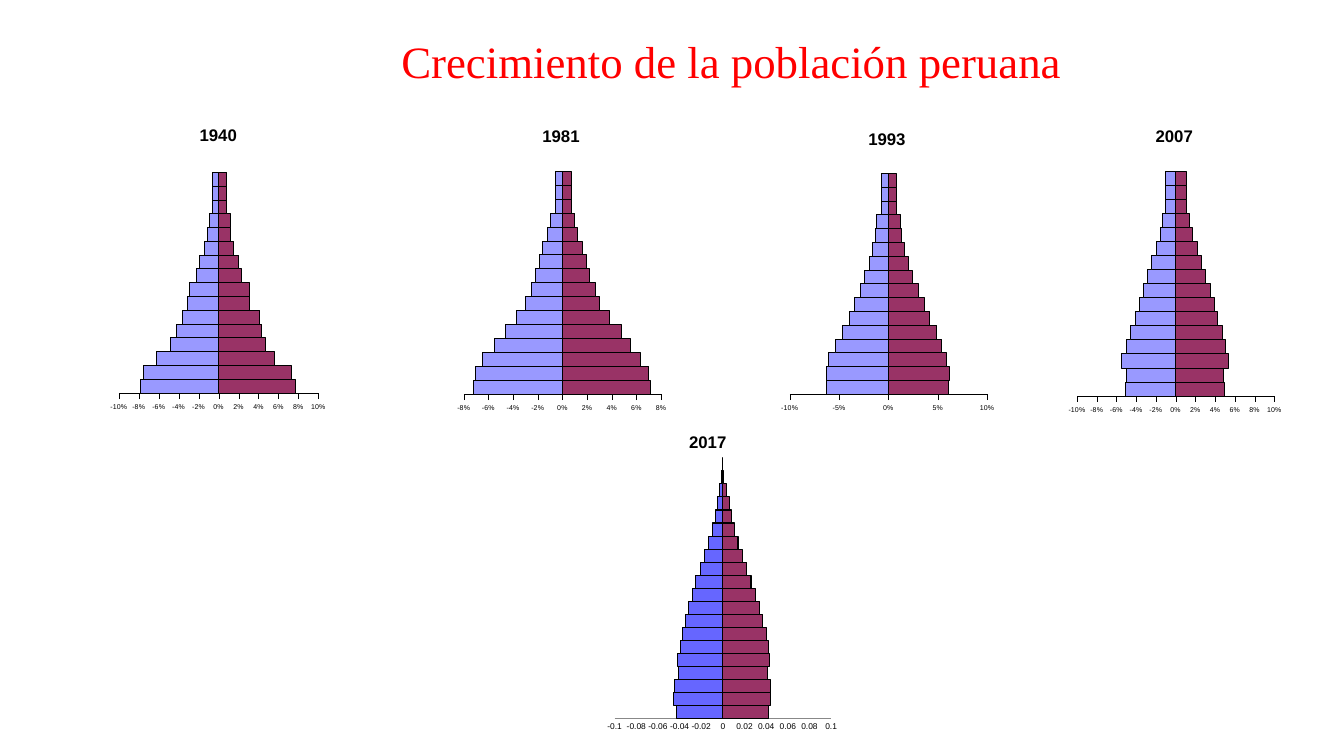
from lxml import etree
from pptx import Presentation
from pptx import util as u
from pptx.chart.data import CategoryChartData
from pptx.dml.color import RGBColor
from pptx.enum import chart as ch, text
from pptx.oxml.ns import qn

WIDTH, HEIGHT = 13.33, 7.5
COLUMNS, ROWS = 40, 24
COLORS = {"heading": "FF0000", "ink": "000000", "men": "9999FF",
          "women": "993366", "men_2017": "6666FF", "axis_2017": "888888"}

# Shares of each age group in thousandths, youngest first
MEN = {
    "1940": [78, 75, 62, 48, 42, 36, 31, 29, 22, 19, 14, 11, 9, 6, 6, 6],
    "1981": [72, 71, 65, 55, 46, 37, 30, 25, 22, 19, 16, 12, 10, 6, 6, 6],
    "2007": [51, 50, 55, 50, 46, 41, 37, 33, 29, 25, 20, 16, 13, 10, 10, 10],
    "1993": [63, 63, 61, 54, 47, 40, 35, 28, 24, 19, 16, 13, 12, 7, 7, 7],
    "2017": [43, 46, 45, 41, 42, 39, 37, 35, 32, 28, 25, 21, 17, 13, 10, 7, 5, 3, 1, 0],
}
WOMEN = {
    "1940": [77, 73, 56, 47, 43, 41, 31, 31, 23, 20, 15, 12, 12, 8, 8, 8],
    "1981": [71, 70, 63, 55, 48, 38, 30, 27, 22, 19, 16, 12, 10, 7, 7, 7],
    "2007": [49, 48, 53, 50, 47, 42, 39, 35, 30, 26, 22, 17, 14, 11, 11, 11],
    "1993": [61, 62, 59, 54, 49, 42, 36, 30, 24, 20, 16, 13, 12, 8, 8, 8],
    "2017": [42, 44, 44, 41, 43, 42, 40, 37, 34, 30, 26, 22, 18, 14, 11, 8, 6, 3, 1, 0],
}

# Census pyramids: cell is left, top, width, height in grid columns and rows
CENSUS = {"limit": 0.1, "step": 0.02, "format": "0%", "ticks": ch.XL_TICK_MARK.OUTSIDE,
          "label_size": 5, "men": "men", "axis": "ink", "axis_width": 0.15,
          "bar_width": 0.6, "plot": (0.06, 0.19, 0.89, 0.74), "year_at": (0.4, 0.03)}
PYRAMIDS = {
    "1940": CENSUS | {"cell": (3.21, 3.58, 6.6, 9.47), "plot": (0.05, 0.2, 0.9, 0.74)},
    "1981": CENSUS | {"cell": (13.41, 3.62, 6.6, 9.57), "limit": 0.08},
    "2007": CENSUS | {"cell": (31.66, 3.62, 6.6, 9.63)},
    "1993": CENSUS | {"cell": (23.11, 3.71, 6.6, 9.47), "step": 0.05},
    "2017": CENSUS | {"cell": (17.94, 13.09, 7.08, 10.34), "format": "General",
                      "ticks": ch.XL_TICK_MARK.NONE, "label_size": 6,
                      "men": "men_2017", "axis": "axis_2017", "axis_width": 0.75,
                      "bar_width": 0.75, "plot": (0.05, 0.14, 0.91, 0.8),
                      "year_at": (0.35, 0.05)},
}


def grid(left, top, width, height):
    """Turn grid columns and rows into slide lengths."""
    column, row = WIDTH / COLUMNS, HEIGHT / ROWS
    return [u.Inches(n) for n in (left * column, top * row, width * column, height * row)]


def apply(target, **values):
    for name, value in values.items():
        setattr(target, name, value)


def style_font(font, size, color, name="Arial", bold=False):
    apply(font, size=u.Pt(size), name=name, bold=bold)
    font.color.rgb = RGBColor.from_string(COLORS[color])


def style_line(line, color, width):
    line.color.rgb = RGBColor.from_string(COLORS[color])
    line.width = u.Pt(width)


def place_part(part, index, shares, inner=False):
    """Give a chart part a fixed place as shares of its chart."""
    for old in part.findall(qn("c:layout")):
        part.remove(old)
    layout = etree.Element(qn("c:layout"))
    manual = etree.SubElement(layout, qn("c:manualLayout"))
    settings = [("layoutTarget", "inner")] if inner else []
    settings += [("xMode", "edge"), ("yMode", "edge"), *zip("xywh", shares)]
    for tag, value in settings:
        etree.SubElement(manual, qn(f"c:{tag}")).set("val", str(value))
    part.insert(index, layout)


def add_heading(slide, words):
    heading = slide.shapes.title
    left, top, width, height = grid(4.77, 0.42, 34, 3.2)
    apply(heading, left=left, top=top, width=width, height=height)
    frame = heading.text_frame
    apply(frame, text=words, word_wrap=True, vertical_anchor=text.MSO_ANCHOR.MIDDLE)
    line = frame.paragraphs[0]
    apply(line, alignment=text.PP_ALIGN.CENTER, line_spacing=0.9)
    style_font(line.runs[0].font, 32, "heading", "Times New Roman")


def add_pyramid(slide, year, look):
    # Men grow to the left, women to the right
    sides = [("men", [-n / 1000 for n in MEN[year]], look["men"]),
             ("women", [n / 1000 for n in WOMEN[year]], "women")]
    if year == "2017":
        sides.reverse()
    ages = CategoryChartData()
    ages.categories = [str(n + 1) for n in range(len(MEN[year]))]
    for order, (_, shares, _) in enumerate(sides, 1):
        ages.add_series(f"Series {order}", shares)
    pyramid = slide.shapes.add_chart(
        ch.XL_CHART_TYPE.BAR_CLUSTERED, *grid(*look["cell"]), ages).chart
    pyramid.has_legend = False
    style_font(pyramid.font, 5, "ink")

    # Year above the bars
    pyramid.has_title = True
    year_text = pyramid.chart_title.text_frame
    year_text.text = year
    style_font(year_text.paragraphs[0].runs[0].font, 12, "ink", bold=True)

    # Touching bars
    bars = pyramid.plots[0]
    apply(bars, gap_width=0, overlap=100, vary_by_categories=False)
    for side, (_, _, color) in zip(bars.series, sides):
        side.invert_if_negative = False
        side.format.fill.solid()
        side.format.fill.fore_color.rgb = RGBColor.from_string(COLORS[color])
        style_line(side.format.line, "ink", look["bar_width"])

    # Share axis at the foot
    pyramid.category_axis.visible = False
    axis = pyramid.value_axis
    apply(axis, has_major_gridlines=False, minimum_scale=-look["limit"],
          maximum_scale=look["limit"], major_unit=look["step"],
          major_tick_mark=look["ticks"], minor_tick_mark=ch.XL_TICK_MARK.NONE)
    apply(axis.tick_labels, number_format=look["format"], number_format_is_linked=False)
    style_font(axis.tick_labels.font, look["label_size"], "ink")
    style_line(axis.format.line, look["axis"], look["axis_width"])

    place_part(pyramid.element.find(".//" + qn("c:plotArea")), 0, look["plot"], inner=True)
    place_part(pyramid.element.find(".//" + qn("c:title")), 1, look["year_at"])


def main():
    deck = Presentation()
    apply(deck, slide_width=u.Inches(WIDTH), slide_height=u.Inches(HEIGHT))
    slide = deck.slides.add_slide(deck.slide_layouts[5])
    add_heading(slide, "Crecimiento de la población peruana")
    for year, look in PYRAMIDS.items():
        add_pyramid(slide, year, look)
    deck.save("out.pptx")


if __name__ == "__main__":
    main()
